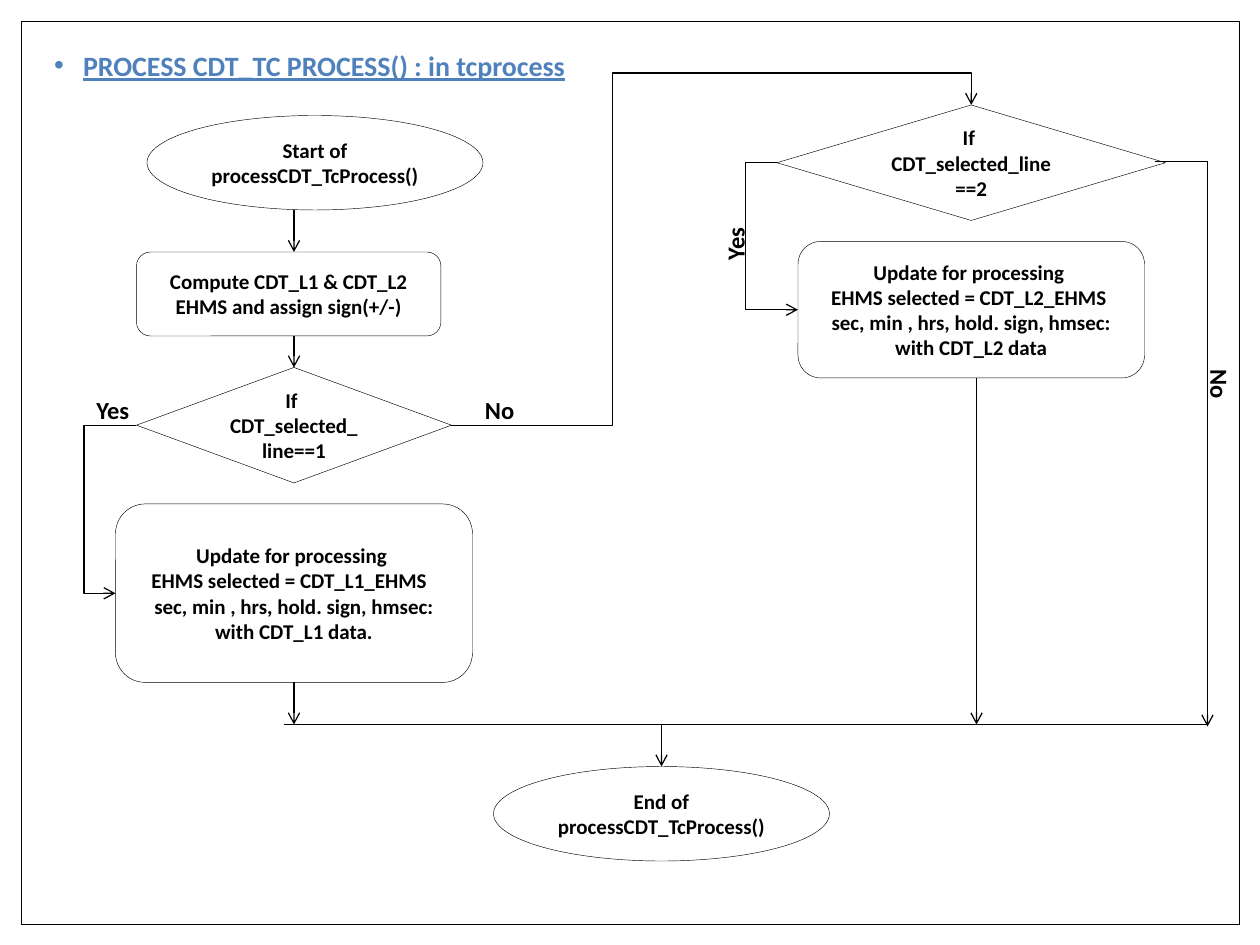
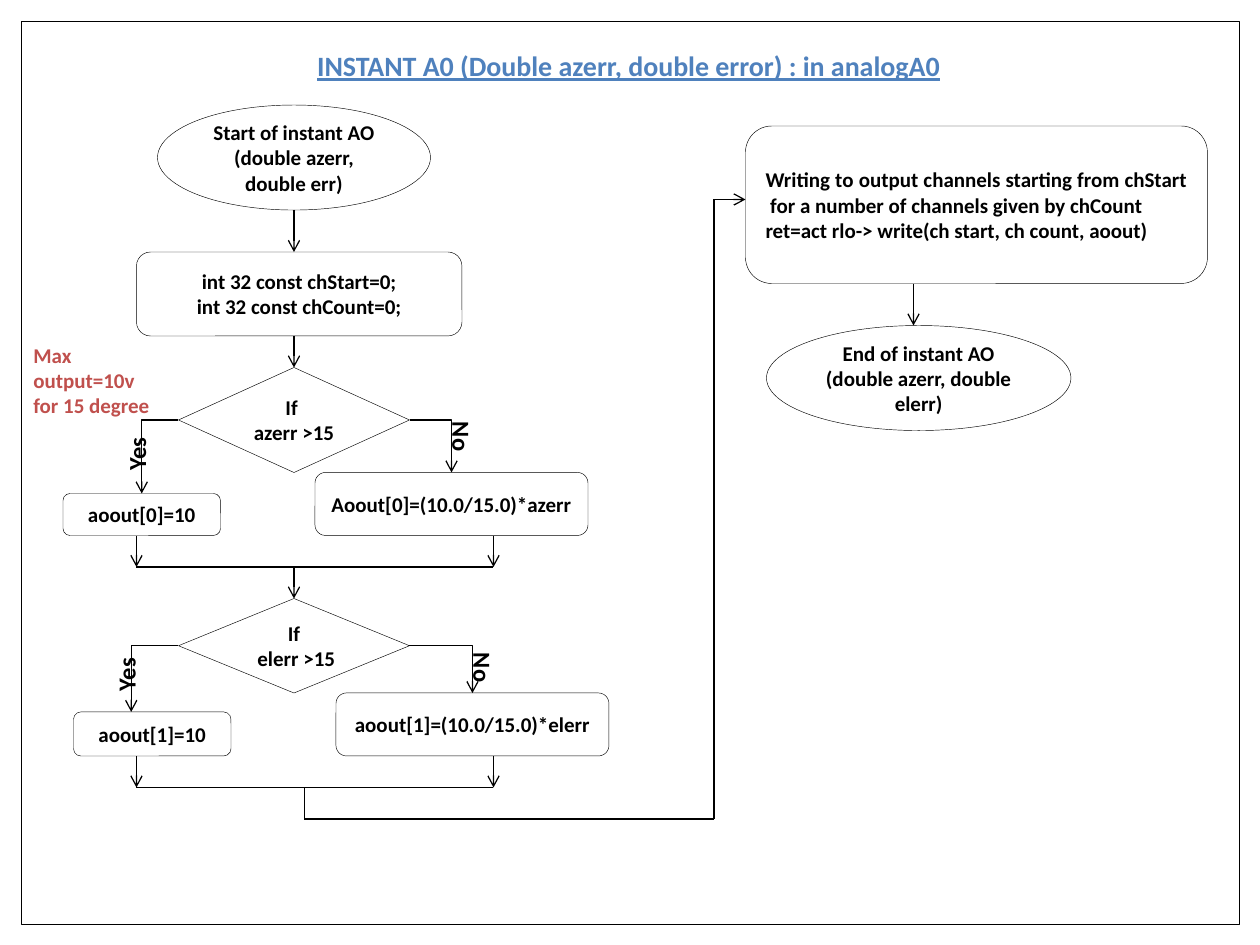
from dataclasses import dataclass
from lxml.etree import SubElement
from pptx import Presentation
from pptx.dml.color import RGBColor
from pptx.enum.shapes import MSO_CONNECTOR, MSO_SHAPE
from pptx.enum.text import MSO_ANCHOR, PP_ALIGN
from pptx.oxml.ns import qn
from pptx.util import Inches, Pt

COLS, ROWS = 120, 90
CELL = Inches(10) // COLS


@dataclass(frozen=True)
class Theme:
    font: str = "Calibri"
    ink: str = "000000"
    head: str = "4F81BD"
    note: str = "C0504D"
    head_size: int = 16
    mark_size: int = 14
    body_size: int = 12
    edge: float = 0.25
    wire: float = 0.75


LOOK = Theme()
OVAL, ROUND = MSO_SHAPE.OVAL, MSO_SHAPE.ROUNDED_RECTANGLE
TEST, RECT = MSO_SHAPE.FLOWCHART_DECISION, MSO_SHAPE.RECTANGLE


def grid(*cells):
    return [round(cell * CELL) for cell in cells]


def write(frame, text, size=LOOK.body_size, color=LOOK.ink, line=False,
          align=PP_ALIGN.LEFT, anchor=MSO_ANCHOR.TOP):
    """Fill a text frame, one paragraph per line of text."""
    frame.word_wrap = True
    frame.vertical_anchor = anchor
    frame.margin_left = frame.margin_right = Inches(0.1)
    frame.margin_top = frame.margin_bottom = Inches(0.05)
    for i, part in enumerate(text.split("\n")):
        para = frame.add_paragraph() if i else frame.paragraphs[0]
        para.alignment = align
        run = para.add_run()
        run.text = part
        font = run.font
        font.name, font.size, font.bold = LOOK.font, Pt(size), True
        font.underline = line
        font.color.rgb = RGBColor.from_string(color)


def bullet(para, color):
    props = para._p.get_or_add_pPr()
    props.set("marL", str(Inches(0.23)))
    props.set("indent", str(-Inches(0.23)))
    tint = SubElement(props, qn("a:buClr"))
    SubElement(tint, qn("a:srgbClr"), val=color)
    SubElement(props, qn("a:buFont"), typeface="Arial")
    SubElement(props, qn("a:buChar"), char="•")


def node(slide, kind, box, text="", align=PP_ALIGN.CENTER):
    shape = slide.shapes.add_shape(kind, *grid(*box))
    shape.shadow.inherit = False
    shape.fill.background()
    shape.line.color.rgb = RGBColor.from_string(LOOK.ink)
    shape.line.width = Pt(LOOK.edge)
    if text:
        write(shape.text_frame, text, align=align, anchor=MSO_ANCHOR.MIDDLE)


def wire(slide, start, end, arrow=True, bends=0, turns=()):
    """Join two points; turns place the bends as shares of the span."""
    kind = MSO_CONNECTOR.ELBOW if bends else MSO_CONNECTOR.STRAIGHT
    link = slide.shapes.add_connector(kind, *grid(*start, *end))
    link.line.color.rgb = RGBColor.from_string(LOOK.ink)
    link.line.width = Pt(LOOK.wire)
    props = link._element.spPr
    if bends:
        geom = props.find(qn("a:prstGeom"))
        geom.set("prst", f"bentConnector{bends + 1}")
        guides = geom.find(qn("a:avLst"))
        for i, turn in enumerate(turns, 1):
            SubElement(guides, qn("a:gd"), name=f"adj{i}",
                       fmla=f"val {round(turn * 100000)}")
    if arrow:
        SubElement(props.find(qn("a:ln")), qn("a:tailEnd"), type="arrow")
    SubElement(props, qn("a:effectLst"))


def drop(slide, col, top, low):
    wire(slide, (col, top), (col, low))


def label(slide, text, box, turn=0, **style):
    area = slide.shapes.add_textbox(*grid(*box))
    area.rotation = turn
    write(area.text_frame, text, **style)


def mark(slide, text, col, row, turn=0):
    label(slide, text, (col, row, 6, 4), turn, size=LOOK.mark_size)


def page(deck, title, left, width, align=PP_ALIGN.LEFT):
    """Add a framed slide with its heading."""
    slide = deck.slides.add_slide(deck.slide_layouts[5])
    node(slide, RECT, (2, 2, COLS - 4, ROWS - 4))
    head = slide.shapes.title
    head.left, head.top, head.width, head.height = grid(left, 4, width, 4.4)
    write(head.text_frame, title, size=LOOK.head_size, color=LOOK.head,
          line=True, align=align)
    return slide


def select_line(deck):
    slide = page(deck, "PROCESS CDT_TC PROCESS() : in tcprocess", 3, 53,
                 PP_ALIGN.CENTER)
    bullet(slide.shapes.title.text_frame.paragraphs[0], LOOK.head)
    update = ("Update for processing \nEHMS selected = CDT_L{0}_EHMS  {1}"
              "sec, min , hrs, hold. sign, hmsec: with CDT_L{0} data{2}")
    for kind, box, text in (
        (OVAL, (14, 11, 32, 9), "Start of processCDT_TcProcess()"),
        (ROUND, (13, 24, 29, 8),
         "Compute CDT_L1 & CDT_L2 EHMS and assign sign(+/-)"),
        (TEST, (13, 35, 30, 11), "If \nCDT_selected_\nline==1"),
        (ROUND, (11, 48, 34, 17), update.format(1, "\n", ".")),
        (TEST, (74, 10, 37, 11), "If \nCDT_selected_line==2"),
        (ROUND, (76, 23, 33, 13), update.format(2, "", "")),
        (OVAL, (47, 73, 32, 9), "End of processCDT_TcProcess()"),
    ):
        node(slide, kind, box, text)
    for col, top, low in ((28, 20, 24), (28, 32, 35), (28, 65, 69),
                          (93, 36, 69), (115, 15.3, 69.2), (63, 69, 73)):
        drop(slide, col, top, low)
    wire(slide, (13, 40.5), (11, 56.5), bends=2, turns=[2.5])
    wire(slide, (74, 15.5), (76, 29.5), bends=2, turns=[-1.5])
    wire(slide, (43, 40.5), (92.5, 10), bends=3, turns=[0.31, 1.1])
    wire(slide, (110, 15.4), (115, 15.4), arrow=False)
    wire(slide, (27, 69), (115, 69), arrow=False)
    mark(slide, "Yes", 8, 37)
    mark(slide, "No", 45, 37)
    mark(slide, "Yes", 67, 21, 270)
    mark(slide, "No", 113.2, 35, 90)


def branch(slide, top, tall, test, yes, no, yes_at, no_at, down, join):
    """Draw a test, its two outcomes and the line that joins them."""
    node(slide, TEST, (17, top, 22, tall), test)
    mid = top + tall / 2
    for start, box, text, col in ((17, yes_at, yes, down[0]),
                                  (39, no_at, no, down[1])):
        node(slide, ROUND, box, text)
        wire(slide, (start, mid), (col, box[1]), bends=1)
    for col, box in ((13, yes_at), (47, no_at)):
        drop(slide, col, box[1] + box[3], join)
    wire(slide, (13, join), (47, join), arrow=False)


def limit_error(deck):
    slide = page(deck, "INSTANT A0 (Double azerr, double error) : in analogA0",
                 29, 68)
    node(slide, OVAL, (15, 10, 26, 10),
         "Start of instant AO (double azerr, double err)")
    node(slide, ROUND, (13, 24, 31, 8),
         "int 32 const chStart=0;\nint 32 const chCount=0;")
    branch(slide, 35, 10, "If \nazerr >15", "aoout[0]=10",
           "Aoout[0]=(10.0/15.0)*azerr", (6, 47, 15, 4), (30, 45, 26, 6),
           (13.5, 43), 54)
    branch(slide, 57, 9, "If\n elerr >15", "aoout[1]=10",
           "aoout[1]=(10.0/15.0)*elerr", (7, 67.8, 15, 4.2), (32, 66, 26, 6),
           (12.5, 45), 75)
    node(slide, ROUND, (71, 12, 44, 15),
         "Writing to output channels starting from chStart  for a number of "
         "channels given by chCount\n"
         "ret=act rlo-> write(ch start, ch count, aoout)", PP_ALIGN.JUSTIFY)
    node(slide, OVAL, (73, 31, 29, 10),
         "End of instant AO (double azerr, double elerr)")
    for col, top, low in ((28, 20, 24), (28, 32, 35), (28, 54, 57),
                          (87, 27, 31)):
        drop(slide, col, top, low)
    route = [(29, 75), (29, 78), (68, 78), (68, 19), (71, 19)]
    for start, end in zip(route, route[1:]):
        wire(slide, start, end, arrow=end == route[-1])
    for text, col, row, turn in (("Yes", 10, 41, 270), ("Yes", 9, 62, 270),
                                 ("No", 43, 62, 90), ("No", 41, 40, 90)):
        mark(slide, text, col, row, turn)
    label(slide, "Max output=10v for 15 degree", (2, 32, 14, 8.4),
          color=LOOK.note)


def main():
    deck = Presentation()
    deck.slide_width, deck.slide_height = grid(COLS, ROWS)
    select_line(deck)
    limit_error(deck)
    deck.save("out.pptx")


if __name__ == "__main__":
    main()
